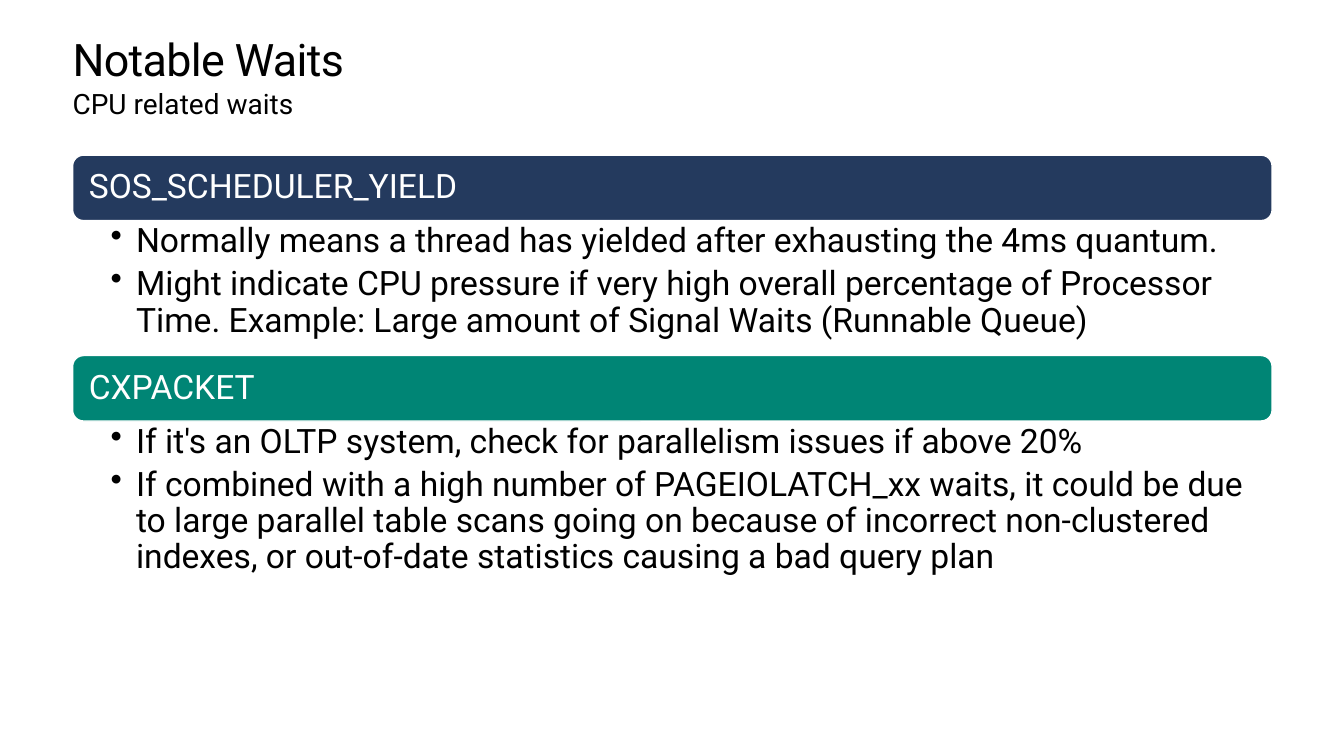
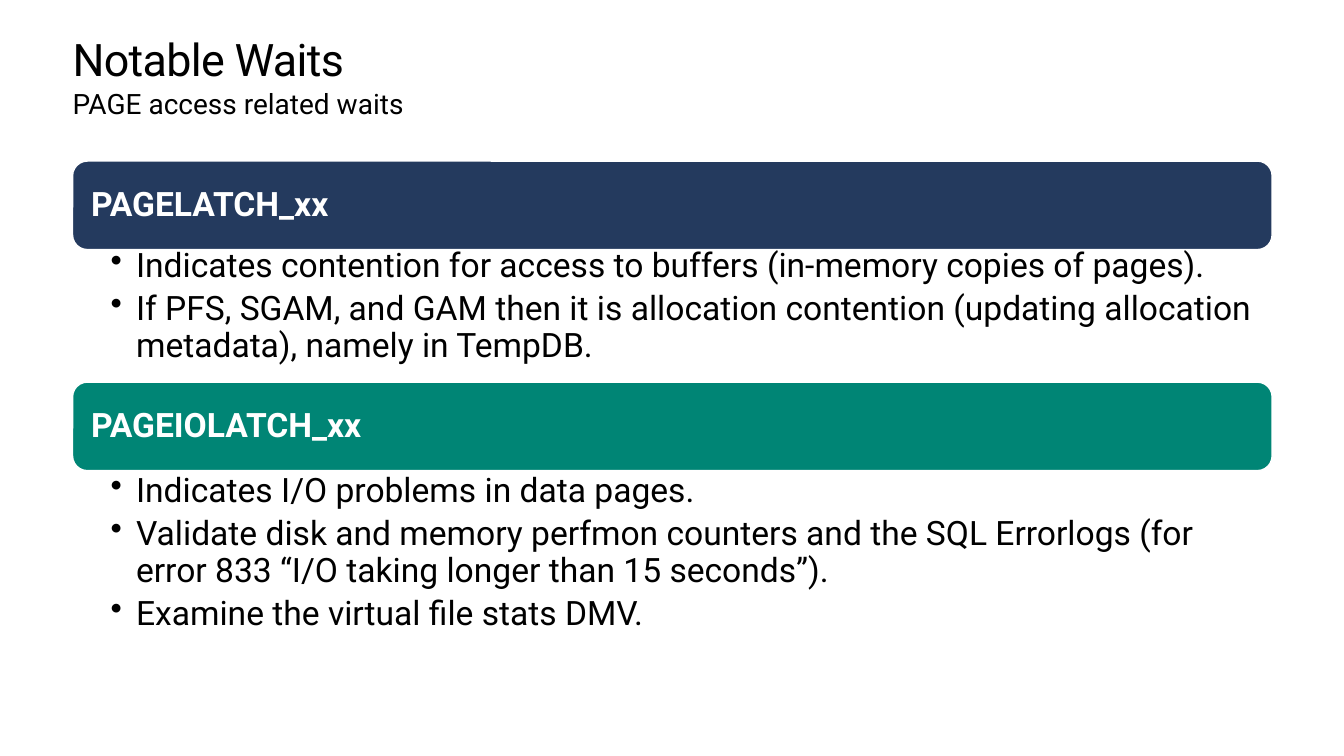
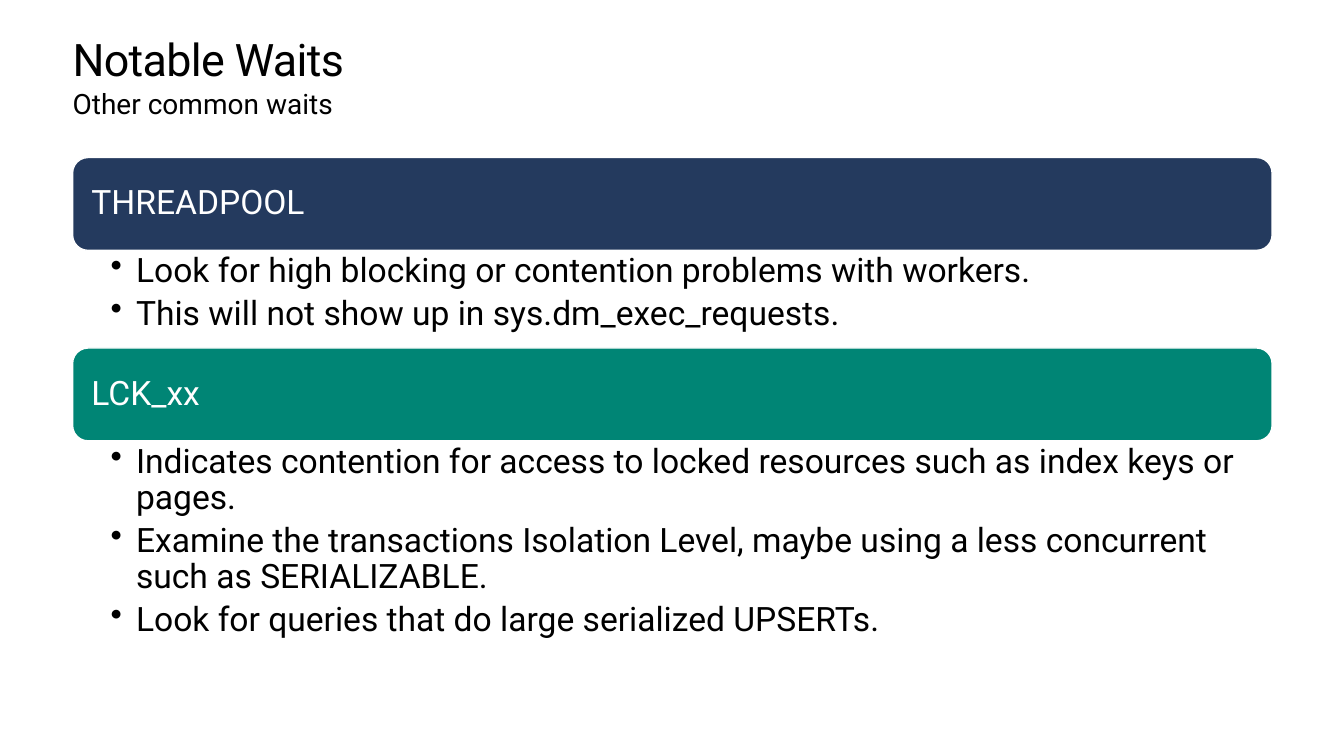
"""Build three slides on notable database waits, each with two titled bullet sections."""
import pptx
import pptx.dml.color
import pptx.enum.shapes
import pptx.enum.text
import pptx.oxml
import pptx.oxml.ns
import pptx.util

Cm = pptx.util.Cm
Pt = pptx.util.Pt
RGBColor = pptx.dml.color.RGBColor
ANCHOR = pptx.enum.text.MSO_ANCHOR

BLACK = RGBColor(0x00, 0x00, 0x00)
WHITE = RGBColor(0xFF, 0xFF, 0xFF)
NAVY = RGBColor(0x24, 0x3A, 0x5E)
TEAL = RGBColor(0x00, 0x85, 0x75)

SLIDES = [
    {
        "subtitle": "CPU related waits",
        "top": 3.91, "band_height": 1.65, "band_inset": 0.33, "bold": False,
        "sections": [
            ("SOS_SCHEDULER_YIELD", NAVY, 0, 3.4, [
                "Normally means a thread has yielded after exhausting the 4ms quantum.",
                "Might indicate CPU pressure if very high overall percentage of Processor Time. "
                "Example: Large amount of Signal Waits (Runnable Queue)",
            ]),
            ("CXPACKET", TEAL, 0, 4.4, [
                "If it's an OLTP system, check for parallelism issues if above 20%",
                "If combined with a high number of PAGEIOLATCH_xx waits, it could be due to large "
                "parallel table scans going on because of incorrect non-clustered indexes, "
                "or out-of-date statistics causing a bad query plan",
            ]),
        ],
    },
    {
        "subtitle": "PAGE access related waits",
        "top": 4.06, "band_height": 2.23, "band_inset": 0.36, "bold": True,
        "sections": [
            ("PAGELATCH_xx", NAVY, 0.1, 3.44, [
                "Indicates contention for access to buffers (in-memory copies of pages).",
                "If PFS, SGAM, and GAM then it is allocation contention "
                "(updating allocation metadata), namely in TempDB.",
            ]),
            ("PAGEIOLATCH_xx", TEAL, 0, 4.7, [
                "Indicates I/O problems in data pages.",
                "Validate disk and memory perfmon counters and the SQL Errorlogs "
                "(for error 833 “I/O taking longer than 15 seconds”).",
                "Examine the virtual file stats DMV.",
            ]),
        ],
    },
    {
        "subtitle": "Other common waits",
        "top": 3.97, "band_height": 2.34, "band_inset": 0.36, "bold": False,
        "sections": [
            ("THREADPOOL", NAVY, 0, 2.46, [
                "Look for high blocking or contention problems with workers.",
                "This will not show up in sys.dm_exec_requests.",
            ]),
            ("LCK_xx", TEAL, 0, 5.69, [
                "Indicates contention for access to locked resources such as index keys or pages.",
                "Examine the transactions Isolation Level, maybe using a less concurrent "
                "such as SERIALIZABLE.",
                "Look for queries that do large serialized UPSERTs.",
            ]),
        ],
    },
]


def set_attributes(target, values):
    for name, value in values.items():
        setattr(target, name, value)


class Deck:
    FONT = "Roboto"
    LEFT = 1.83
    WIDTH = 30.23
    BULLET_INDENT = Cm(0.64)
    BULLET_MARGINS = (0.96, 0.08, 0.48, 0.08)

    def __init__(self):
        self.presentation = pptx.Presentation()
        set_attributes(self.presentation, {"slide_width": Cm(33.87), "slide_height": Cm(19.05)})
        self.slide = None

    def add_slide(self):
        self.slide = self.presentation.slides.add_slide(self.presentation.slide_layouts[6])

    def frame(self, shape, margins=(0, 0, 0, 0), anchor=ANCHOR.TOP):
        left, top, right, bottom = margins
        set_attributes(shape.text_frame, {
            "word_wrap": True, "vertical_anchor": anchor,
            "margin_left": Cm(left), "margin_top": Cm(top),
            "margin_right": Cm(right), "margin_bottom": Cm(bottom),
        })
        return shape.text_frame

    def add_text(self, paragraph, text, size=24, color=BLACK, bold=False, **layout):
        set_attributes(paragraph, {"alignment": pptx.enum.text.PP_ALIGN.LEFT, **layout})
        run = paragraph.add_run()
        run.text = text
        set_attributes(run.font, {"name": self.FONT, "size": Pt(size), "bold": bold})
        run.font.color.rgb = color
        return run

    def text_box(self, top, height, margins=(0, 0, 0, 0)):
        box = self.slide.shapes.add_textbox(Cm(self.LEFT), Cm(top), Cm(self.WIDTH), Cm(height))
        return self.frame(box, margins)

    def heading(self, title, subtitle):
        title_frame = self.text_box(0.89, 1.27)
        run = self.add_text(title_frame.paragraphs[0], title, size=32, line_spacing=Pt(36.2))
        run._r.get_or_add_rPr().set("spc", "-50")
        self.add_text(self.text_box(2.18, 1.27).paragraphs[0], subtitle, size=20)

    def band(self, text, top, height, inset, color, bold):
        shape = self.slide.shapes.add_shape(
            pptx.enum.shapes.MSO_SHAPE.ROUNDED_RECTANGLE,
            Cm(self.LEFT), Cm(top), Cm(self.WIDTH), Cm(height))
        shape.shadow.inherit = False
        shape.fill.solid()
        shape.fill.fore_color.rgb = color
        shape.line.color.rgb = WHITE
        shape.line.width = Pt(1)
        text_frame = self.frame(shape, (inset, 0, inset, 0), ANCHOR.MIDDLE)
        self.add_text(text_frame.paragraphs[0], text, color=WHITE, bold=bold, line_spacing=0.9)

    def bullets(self, items, top, height):
        text_frame = self.text_box(top, height, self.BULLET_MARGINS)
        for index, item in enumerate(items):
            paragraph = text_frame.add_paragraph() if index else text_frame.paragraphs[0]
            properties = paragraph._p.get_or_add_pPr()
            properties.set("marL", str(self.BULLET_INDENT))
            properties.set("indent", str(-self.BULLET_INDENT))
            properties.append(pptx.oxml.parse_xml(
                f'<a:buChar {pptx.oxml.ns.nsdecls("a")} char="•"/>'))
            self.add_text(paragraph, item, level=1, line_spacing=0.9, space_after=Pt(4.8))


def main():
    deck = Deck()
    for content in SLIDES:
        deck.add_slide()
        deck.heading("Notable Waits", content["subtitle"])
        top = content["top"]
        for name, color, overlap, height, items in content["sections"]:
            deck.band(name, top, content["band_height"], content["band_inset"], color,
                      content["bold"])
            top += content["band_height"] - overlap
            deck.bullets(items, top, height)
            top += height
    deck.presentation.save("out.pptx")


if __name__ == "__main__":
    main()
